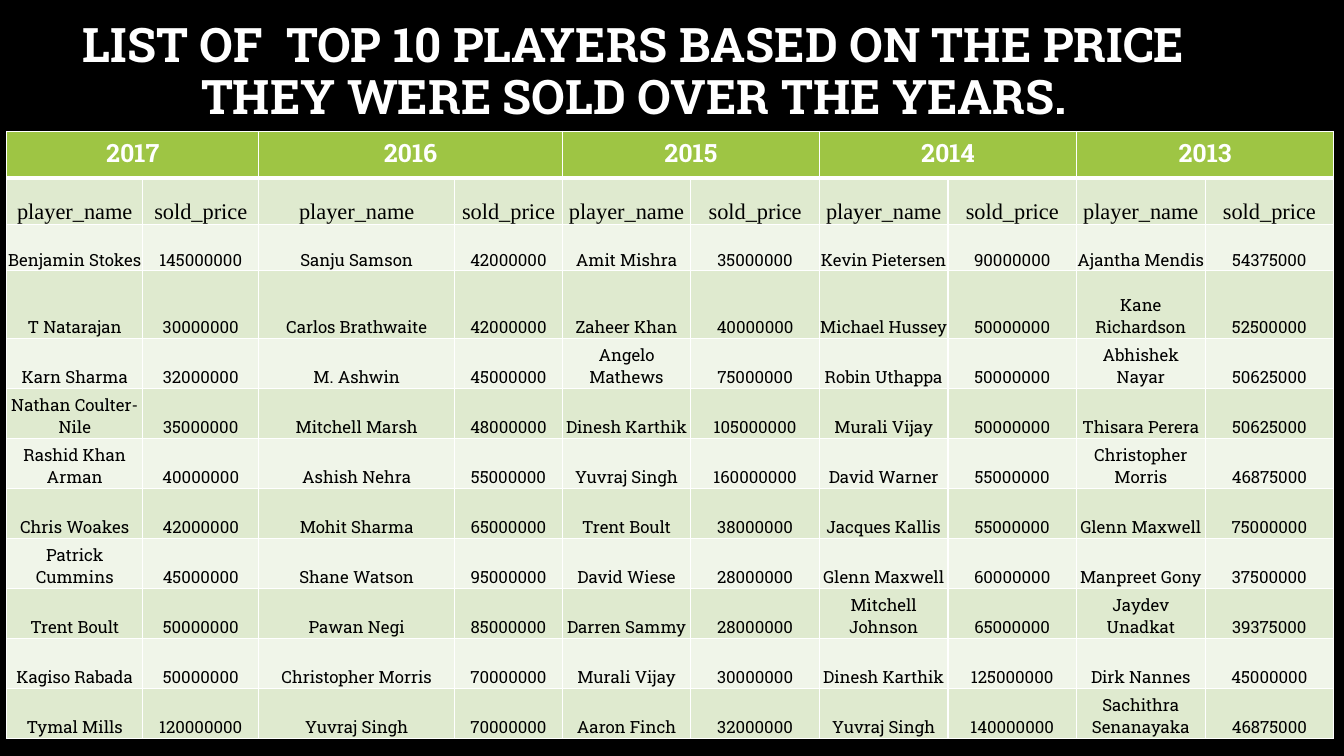
from lxml.etree import SubElement
from pptx import Presentation
from pptx.dml.color import RGBColor
from pptx.enum.text import MSO_ANCHOR as Anchor, MSO_AUTO_SIZE as AutoSize, PP_ALIGN as Align
from pptx.oxml.ns import qn
from pptx.util import Cm, Pt

WHITE, BLACK = "FFFFFF", "000000"
GREEN, BAND_DARK, BAND_LIGHT = "9EC544", "DFEACF", "F0F5E9"
SLAB, SERIF = "Roboto Slab", "Times New Roman"

top_players = {
    "2017": [("Benjamin Stokes", 145000000), ("T Natarajan", 30000000),
             ("Karn Sharma", 32000000), ("Nathan Coulter-Nile", 35000000),
             ("Rashid Khan Arman", 40000000), ("Chris Woakes", 42000000),
             ("Patrick Cummins", 45000000), ("Trent Boult", 50000000),
             ("Kagiso Rabada", 50000000), ("Tymal Mills", 120000000)],
    "2016": [("Sanju Samson", 42000000), ("Carlos Brathwaite", 42000000),
             ("M. Ashwin", 45000000), ("Mitchell Marsh", 48000000),
             ("Ashish Nehra", 55000000), ("Mohit Sharma", 65000000),
             ("Shane Watson", 95000000), ("Pawan Negi", 85000000),
             ("Christopher Morris", 70000000), ("Yuvraj Singh", 70000000)],
    "2015": [("Amit Mishra", 35000000), ("Zaheer Khan", 40000000),
             ("Angelo Mathews", 75000000), ("Dinesh Karthik", 105000000),
             ("Yuvraj Singh", 160000000), ("Trent Boult", 38000000),
             ("David Wiese", 28000000), ("Darren Sammy", 28000000),
             ("Murali Vijay", 30000000), ("Aaron Finch", 32000000)],
    "2014": [("Kevin Pietersen", 90000000), ("Michael Hussey", 50000000),
             ("Robin Uthappa", 50000000), ("Murali Vijay", 50000000),
             ("David Warner", 55000000), ("Jacques Kallis", 55000000),
             ("Glenn Maxwell", 60000000), ("Mitchell Johnson", 65000000),
             ("Dinesh Karthik", 125000000), ("Yuvraj Singh", 140000000)],
    "2013": [("Ajantha Mendis", 54375000), ("Kane Richardson", 52500000),
             ("Abhishek Nayar", 50625000), ("Thisara Perera", 50625000),
             ("Christopher Morris", 46875000), ("Glenn Maxwell", 75000000),
             ("Manpreet Gony", 37500000), ("Jaydev Unadkat", 39375000),
             ("Dirk Nannes", 45000000), ("Sachithra Senanayaka", 46875000)],
}
column_widths = [3.43, 2.92, 4.94, 2.71] + [3.24] * 6
row_heights = [1.17, 1.17, 1.17, 1.7] + [1.26] * 8


def rgb(hex_string):
    return RGBColor.from_string(hex_string)


def write(frame, text, font, size, color, bold=False):
    frame.text = text
    paragraph = frame.paragraphs[0]
    paragraph.alignment = Align.CENTER
    for run in paragraph.runs:
        run.font.name, run.font.size, run.font.bold = font, Pt(size), bold
        run.font.color.rgb = rgb(color)


# Slide and background
prs = Presentation()
prs.slide_width, prs.slide_height = Cm(33.87), Cm(19.05)
slide = prs.slides.add_slide(prs.slide_layouts[5])
slide.background.fill.solid()
slide.background.fill.fore_color.rgb = rgb(BLACK)

# Title
title = slide.shapes.title
title.left, title.top, title.width, title.height = Cm(1.6), Cm(0), Cm(28.75), Cm(3.68)
write(title.text_frame,
      "LIST OF  TOP 10 PLAYERS BASED ON THE PRICE THEY WERE SOLD OVER THE YEARS.",
      SLAB, 34, WHITE, True)
title.text_frame.word_wrap = True
title.text_frame.auto_size = AutoSize.NONE
title.text_frame.vertical_anchor = Anchor.MIDDLE
title.text_frame.paragraphs[0].line_spacing = 0.9

# Table grid
players = slide.shapes.add_table(
    len(row_heights), len(column_widths), Cm(0.17), Cm(3.31),
    Cm(sum(column_widths)), Cm(sum(row_heights))).table
players.horz_banding = False
for column, width in zip(players.columns, column_widths):
    column.width = Cm(width)
for row, height in zip(players.rows, row_heights):
    row.height = Cm(height)

# Borders, fills and margins
for r, row in enumerate(players.rows):
    for cell in row.cells:
        properties = cell._tc.get_or_add_tcPr()
        for side in ("L", "R", "T", "B"):
            thick = (r, side) in ((0, "B"), (1, "T"))
            line = SubElement(properties, qn(f"a:ln{side}"), w=str(Pt(3 if thick else 1)))
            SubElement(SubElement(line, qn("a:solidFill")), qn("a:srgbClr"), val=WHITE)
        cell.fill.solid()
        cell.fill.fore_color.rgb = rgb(GREEN if r == 0 else BAND_DARK if r % 2 else BAND_LIGHT)
        if r > 0:
            cell.vertical_anchor = Anchor.BOTTOM
            cell.margin_left = cell.margin_right = cell.margin_top = Cm(0.02)
            cell.margin_bottom = Cm(0)

# Two columns for each year: player and price
for y, (year, sales) in enumerate(top_players.items()):
    year_cell = players.cell(0, 2 * y)
    year_cell.merge(players.cell(0, 2 * y + 1))
    write(year_cell.text_frame, year, SLAB, 18, WHITE, True)
    for c, heading in enumerate(("player_name", "sold_price"), 2 * y):
        write(players.cell(1, c).text_frame, heading, SERIF, 16, BLACK)
    for r, sale in enumerate(sales, 2):
        for c, value in enumerate(sale, 2 * y):
            write(players.cell(r, c).text_frame, str(value), SLAB, 12, BLACK)

prs.save("out.pptx")
